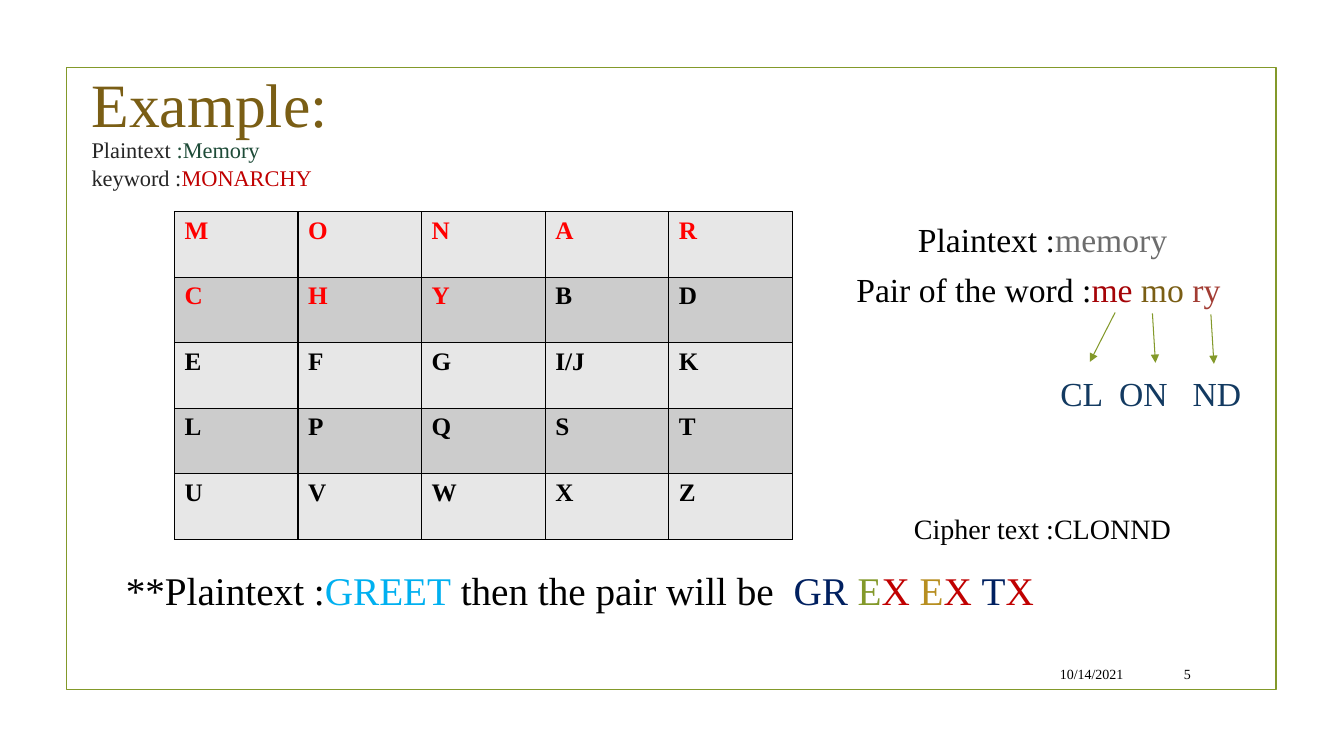
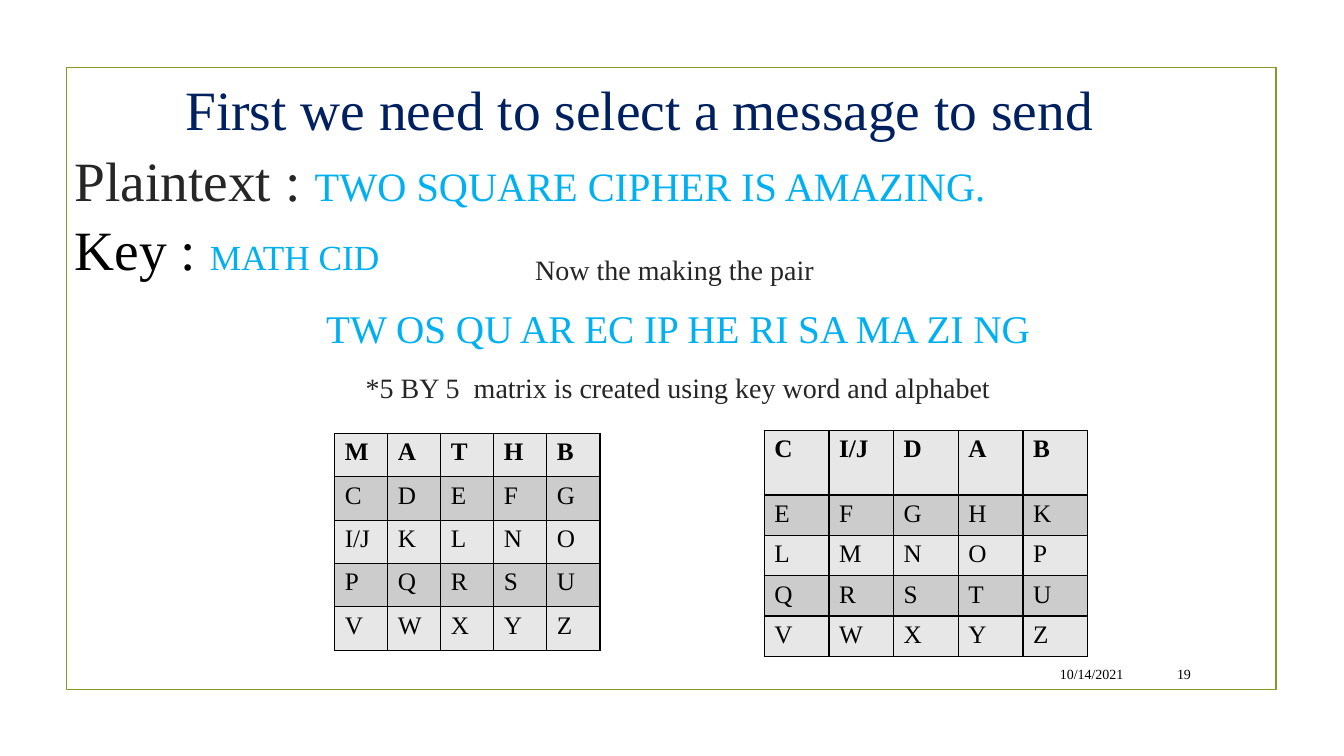
from lxml.etree import SubElement
from pptx import Presentation
from pptx.dml.color import RGBColor
from pptx.enum.shapes import MSO_CONNECTOR, MSO_SHAPE
from pptx.enum.text import MSO_ANCHOR, PP_ALIGN
from pptx.oxml.ns import qn
from pptx.util import Inches, Pt

FONT = "Times New Roman"
GREEN, BLACK, DARK, RED = "83992A", "000000", "262626", "C00000"
NAVY, SKY, GOLD = "002060", "00B0F0", "7A5E15"
BANDS = ("E7E7E7", "CCCCCC")
LEFT, MID, RIGHT = PP_ALIGN.LEFT, PP_ALIGN.CENTER, PP_ALIGN.RIGHT


def rgb(code):
    """Turn a hex string into a colour."""
    return RGBColor.from_string(code)


class Deck:
    """Holds the shared style and the current slide."""

    def __init__(self):
        """Start an empty wide deck."""
        self.prs = Presentation()
        self.prs.slide_width = Inches(13.33)
        self.prs.slide_height = Inches(7.5)

    def page(self, number):
        """Add a slide with its frame, date and number."""
        self.slide = self.prs.slides.add_slide(self.prs.slide_layouts[6])
        self.shapes = self.slide.shapes
        frame = self.shapes.add_shape(
            MSO_SHAPE.RECTANGLE, Inches(0.66), Inches(0.67), Inches(12), Inches(6.17))
        frame.shadow.inherit = False
        frame.fill.background()
        frame.line.color.rgb = rgb(GREEN)
        frame.line.width = Pt(1.25)
        for left, width, text in ((9.49, 1.75, "10/14/2021"), (11.32, 0.59, number)):
            self.text((left, 6.53, width, 0.31), [[(text, BLACK)]], 10, RIGHT,
                      anchor=MSO_ANCHOR.MIDDLE)

    def style(self, para, size, color=BLACK, bold=False):
        """Set the font of a paragraph."""
        font = para.font
        font.name, font.size, font.bold = FONT, Pt(size), bold
        font.color.rgb = rgb(color)

    def text(self, area, lines, size, align=LEFT, gap=0, space=1.0,
             anchor=MSO_ANCHOR.TOP):
        """Add text, each line a list of runs: text, colour and maybe size."""
        frame = self.shapes.add_textbox(*map(Inches, area)).text_frame
        frame.word_wrap = True
        frame.vertical_anchor = anchor
        for i, runs in enumerate(lines):
            para = frame.add_paragraph() if i else frame.paragraphs[0]
            para.alignment = align
            para.line_spacing = space
            para.space_after = Pt(gap)
            self.style(para, size, runs[0][1])
            for words, color, *own in runs:
                run = para.add_run()
                run.text = words
                if color != runs[0][1]:
                    run.font.color.rgb = rgb(color)
                if own:
                    run.font.size = Pt(own[0])

    def title(self, left, top, words, size, color):
        """Add the heading of the slide."""
        self.text((left, top, 10.5, 0.8), [[(words, color)]], size)

    def edge(self, cell):
        """Draw thin black borders around a cell."""
        props = cell._tc.get_or_add_tcPr()
        for side in ("a:lnL", "a:lnR", "a:lnT", "a:lnB"):
            line = SubElement(props, qn(side), w=str(Pt(1)))
            fill = SubElement(line, qn("a:solidFill"))
            SubElement(fill, qn("a:srgbClr"), val=BLACK)

    def grid(self, left, top, width, highs, rows, bold=1, key=""):
        """Add a banded letter table with key letters in red."""
        count = len(rows[0])
        table = self.shapes.add_table(
            len(rows), count, Inches(left), Inches(top),
            Inches(width), Inches(sum(highs))).table
        for col in table.columns:
            col.width = Inches(width / count)
        for r, (row, high) in enumerate(zip(rows, highs)):
            table.rows[r].height = Inches(high)
            for c, mark in enumerate(row):
                cell = table.cell(r, c)
                cell.text = mark
                self.style(cell.text_frame.paragraphs[0], 18,
                           "FF0000" if mark in key else BLACK, r < bold)
                self.edge(cell)
                cell.fill.solid()
                cell.fill.fore_color.rgb = rgb(BANDS[r % 2])

    def arrow(self, start, end):
        """Add a thin green arrow."""
        link = self.shapes.add_connector(
            MSO_CONNECTOR.STRAIGHT, *map(Inches, start + end))
        link.line.color.rgb = rgb(GREEN)
        link.line.width = Pt(0.75)
        SubElement(link.line._get_or_add_ln(), qn("a:tailEnd"), type="triangle")
        SubElement(link._element.spPr, qn("a:effectLst"))


def split(words):
    """Cut a matrix into rows of marks."""
    return [row.split() for row in words.split("/ ")]


def sample(deck):
    """Build the worked example."""
    deck.page("5")
    deck.title(0.81, 0.61, "Example:", 44, GOLD)
    deck.text((0.81, 1.29, 6, 0.7), [
        [("Plaintext", DARK), (" :Memory", "1E4B38")],
        [("keyword :", DARK), ("MONARCHY", RED)],
    ], 16, space=1.04)
    deck.grid(1.73, 2.1, 6.13, [0.65] * 5, split(
        "M O N A R/ C H Y B D/ E F G I/J K/ L P Q S T/ U V W X Z"),
        bold=5, key="MONARCHY")
    deck.text((8.08, 2.17, 4.52, 1), [
        [("Plaintext :", BLACK), ("memory", "6D6D6D")],
        [("Pair of the word :", BLACK), ("me ", "A50307"),
         ("mo ", GOLD), ("ry ", "A23C33")],
    ], 24, MID, gap=10, space=0.9)
    for pair, mid, top, start, end in (
            ("CL", 10.73, 3.1, 11.06, 10.81),
            ("ON", 11.34, 3.11, 11.43, 11.46),
            ("ND", 12.07, 3.12, 12.01, 12.04)):
        deck.arrow((start, top), (end, top + 0.49))
        deck.text((mid - 0.4, 3.65, 0.8, 0.5), [[(pair, "133A61")]], 24, MID)
    deck.text((8.08, 5.03, 4.52, 0.45), [[("Cipher text :CLONND", BLACK)]], 20, MID)
    deck.text((1.15, 5.57, 12.04, 0.6), [[
        ("**Plaintext :", BLACK), ("GREET", SKY), (" then the pair will be  ", BLACK),
        ("GR ", NAVY), ("E", GREEN), ("X ", RED), ("E", "B78E20"), ("X ", RED),
        ("T", NAVY), ("X", RED)]], 28)


def message(deck):
    """Build the message and its two matrices."""
    deck.page("19")
    deck.title(1.74, 0.7, "First we need to select a message to send", 39.6, NAVY)
    deck.text((0.64, 1.37, 12.04, 1.4), [
        [("Plaintext : ", DARK), ("TWO SQUARE CIPHER IS AMAZING.", SKY, 28.8)],
        [("Key : ", BLACK), ("MATH CID", SKY, 25.2)],
    ], 39.6, space=1.04)
    deck.text((1.04, 2.46, 11.37, 1.7), [
        [("Now the making the pair ", DARK)],
        [("TW OS QU AR EC IP HE RI SA MA ZI NG", SKY, 28)],
        [("*5 BY 5  matrix is created using key word and alphabet", DARK)],
    ], 20, MID, gap=13)
    deck.grid(3.32, 4.3, 2.63, [0.43] * 5, split(
        "M A T H B/ C D E F G/ I/J K L N O/ P Q R S U/ V W X Y Z"))
    deck.grid(7.58, 4.27, 3.21, [0.64] + [0.37] * 4, split(
        "C I/J D A B/ E F G H K/ L M N O P/ Q R S T U/ V W X Y Z"))


def main():
    """Build and save the deck."""
    deck = Deck()
    sample(deck)
    message(deck)
    deck.prs.save("out.pptx")


if __name__ == "__main__":
    main()
